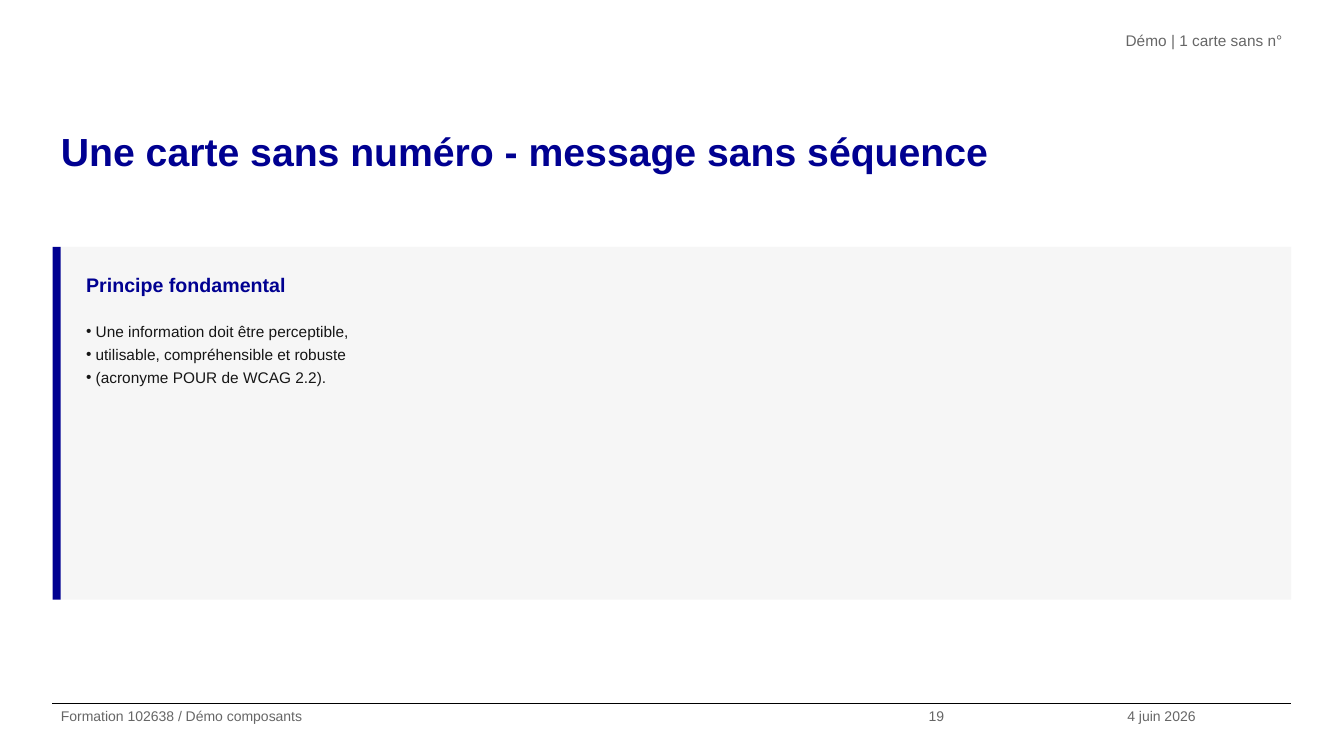
from dataclasses import dataclass

from lxml import etree
from pptx import Presentation
from pptx.dml.color import RGBColor
from pptx.enum.shapes import MSO_CONNECTOR, MSO_SHAPE
from pptx.enum.text import MSO_ANCHOR, MSO_AUTO_SIZE, PP_ALIGN
from pptx.oxml.ns import qn
from pptx.util import Pt

NAVY = RGBColor(0x00, 0x00, 0x91)
PALE_GREY = RGBColor(0xF6, 0xF6, 0xF6)
MID_GREY = RGBColor(0x66, 0x66, 0x66)
INK = RGBColor(0x16, 0x16, 0x16)
BLACK = RGBColor(0x00, 0x00, 0x00)

LEFT, RIGHT = PP_ALIGN.LEFT, PP_ALIGN.RIGHT
TOP = MSO_ANCHOR.TOP
NO_AUTOFIT = MSO_AUTO_SIZE.NONE
RECTANGLE = MSO_SHAPE.RECTANGLE
STRAIGHT = MSO_CONNECTOR.STRAIGHT

TITLE_ONLY_LAYOUT = 5
FONT_NAME = "Arial"
LINE_SPACING = 1.25
BULLET_INDENT = 6.8

# Page frame and card, in points
MARGIN_LEFT, MARGIN_RIGHT = 37.5, 922.25
CONTENT_WIDTH = MARGIN_RIGHT - MARGIN_LEFT
FOOTER_TOP, FOOTER_HEIGHT = 502.5, 37.5
CARD_TOP, CARD_HEIGHT = 176.4, 252
ACCENT_WIDTH = 5.76
CARD_LEFT = MARGIN_LEFT + ACCENT_WIDTH
CARD_TEXT_LEFT, CARD_TEXT_WIDTH = 55.5, 855.4


@dataclass(frozen=True)
class Box:
    left: float
    top: float
    width: float
    height: float

    def lengths(self) -> tuple:
        return Pt(self.left), Pt(self.top), Pt(self.width), Pt(self.height)


@dataclass(frozen=True)
class TextBlock:
    box: Box
    lines: tuple[str, ...]
    size: float
    color: RGBColor
    bold: bool = False
    alignment: PP_ALIGN = LEFT
    inset_vertical: float = 0
    bulleted: bool = False


@dataclass(frozen=True)
class Panel:
    box: Box
    color: RGBColor


TITLE = TextBlock(Box(MARGIN_LEFT, 82.8, CONTENT_WIDTH, 75.6),
                  ("Une carte sans numéro - message sans séquence",), 28, NAVY, bold=True)

PANELS = (
    Panel(Box(CARD_LEFT, CARD_TOP, MARGIN_RIGHT - CARD_LEFT, CARD_HEIGHT), PALE_GREY),
    Panel(Box(MARGIN_LEFT, CARD_TOP, ACCENT_WIDTH, CARD_HEIGHT), NAVY),
)

TEXT_BLOCKS = (
    # Header
    TextBlock(Box(347.75, 18.7, 574.5, 37.5), ("Démo | 1 carte sans n°",), 11, MID_GREY,
              alignment=RIGHT),
    # Card
    TextBlock(Box(CARD_TEXT_LEFT, 187.2, CARD_TEXT_WIDTH, 32.4),
              ("Principe fondamental",), 14, NAVY, bold=True, inset_vertical=3.6),
    TextBlock(Box(CARD_TEXT_LEFT, 223.2, CARD_TEXT_WIDTH, 194.4),
              ("Une information doit être perceptible,",
               "utilisable, compréhensible et robuste",
               "(acronyme POUR de WCAG 2.2)."),
              11, INK, inset_vertical=3.6, bulleted=True),
    # Footer
    TextBlock(Box(MARGIN_LEFT, FOOTER_TOP, 620, FOOTER_HEIGHT),
              ("Formation 102638 / Démo composants",), 10, MID_GREY),
    TextBlock(Box(657.4, FOOTER_TOP, 141.8, FOOTER_HEIGHT), ("19",), 10, MID_GREY),
    TextBlock(Box(799.2, FOOTER_TOP, 123, FOOTER_HEIGHT), ("4 juin 2026",), 10, MID_GREY),
)


def set_attributes(target, values: dict) -> None:
    for name, value in values.items():
        setattr(target, name, value)


def add_bullet(paragraph) -> None:
    properties = paragraph._p.get_or_add_pPr()
    properties.set("marL", str(Pt(BULLET_INDENT)))
    properties.set("indent", str(-Pt(BULLET_INDENT)))
    etree.SubElement(properties, qn("a:buFont")).set("typeface", FONT_NAME)
    etree.SubElement(properties, qn("a:buChar")).set("char", "•")


def write_text(shape, block: TextBlock) -> None:
    frame = shape.text_frame
    frame.text = "\n".join(block.lines)
    set_attributes(frame, {
        "word_wrap": True, "auto_size": NO_AUTOFIT, "vertical_anchor": TOP,
        "margin_left": Pt(6), "margin_right": Pt(6),
        "margin_top": Pt(block.inset_vertical), "margin_bottom": Pt(block.inset_vertical),
    })
    for paragraph in frame.paragraphs:
        set_attributes(paragraph, {"alignment": block.alignment, "line_spacing": LINE_SPACING,
                                   "space_before": Pt(0)})
        if block.bulleted:
            add_bullet(paragraph)
        set_attributes(paragraph.font, {"name": FONT_NAME, "size": Pt(block.size),
                                        "bold": block.bold})
        paragraph.font.color.rgb = block.color


def place_title(slide, block: TextBlock) -> None:
    title = slide.shapes.title
    names = ("left", "top", "width", "height")
    set_attributes(title, dict(zip(names, block.box.lengths())))
    write_text(title, block)


def add_panel(slide, panel: Panel) -> None:
    shape = slide.shapes.add_shape(RECTANGLE, *panel.box.lengths())
    shape.shadow.inherit = False
    shape.fill.solid()
    shape.fill.fore_color.rgb = panel.color
    shape.line.fill.background()


def add_footer_rule(slide) -> None:
    rule = slide.shapes.add_connector(STRAIGHT, Pt(MARGIN_LEFT), Pt(FOOTER_TOP),
                                      Pt(MARGIN_RIGHT), Pt(FOOTER_TOP))
    rule.line.color.rgb = BLACK
    rule.line.width = Pt(0.8)
    etree.SubElement(rule._element.spPr, qn("a:effectLst"))


def main() -> None:
    presentation = Presentation()
    presentation.slide_width, presentation.slide_height = Pt(960), Pt(540)
    slide = presentation.slides.add_slide(presentation.slide_layouts[TITLE_ONLY_LAYOUT])

    place_title(slide, TITLE)
    add_footer_rule(slide)
    for panel in PANELS:
        add_panel(slide, panel)
    for block in TEXT_BLOCKS:
        write_text(slide.shapes.add_textbox(*block.box.lengths()), block)

    presentation.save("out.pptx")


if __name__ == "__main__":
    main()
